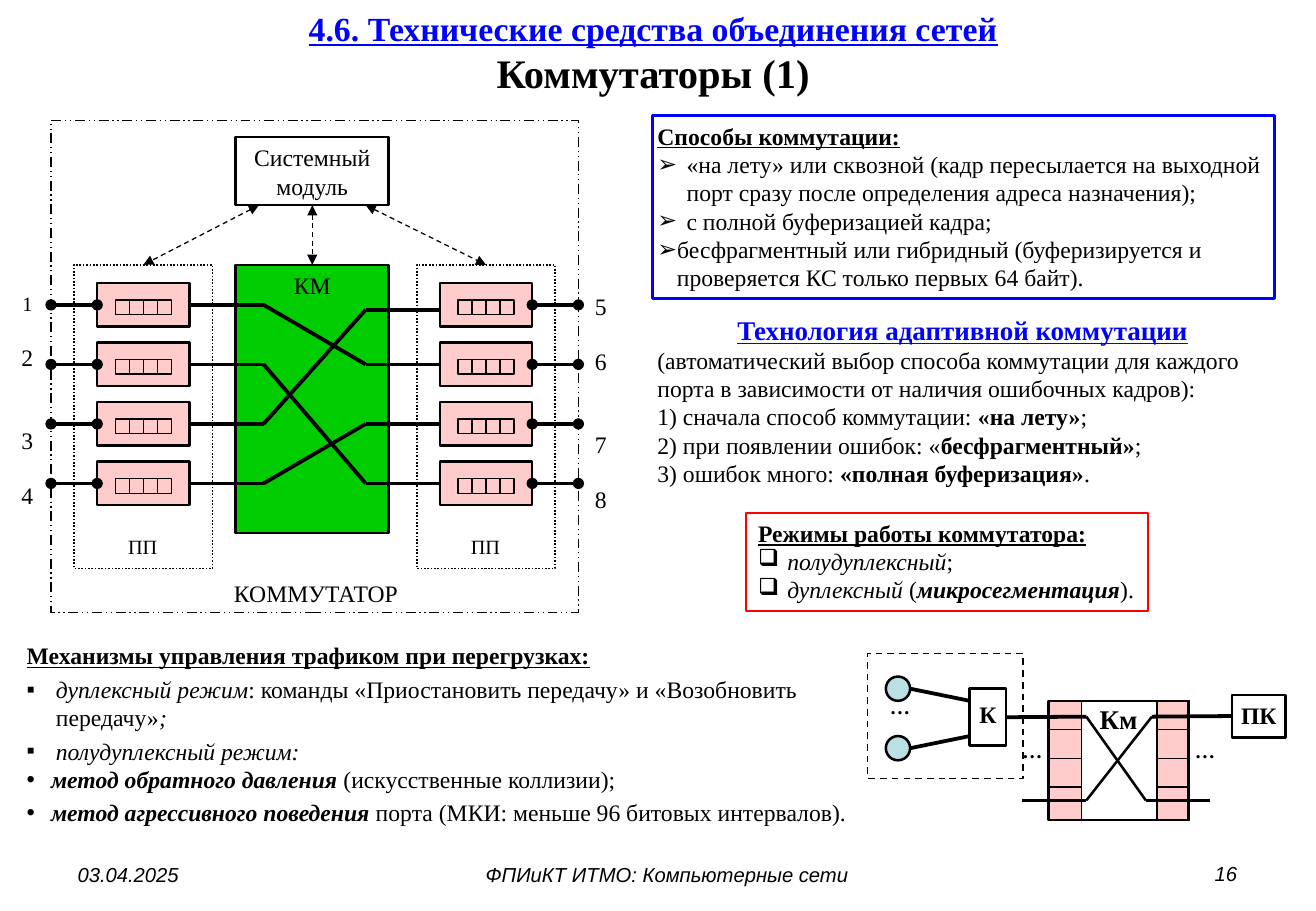
"""Build the slide about network switches with two wiring diagrams."""
from lxml.etree import SubElement
from pptx import Presentation
from pptx.dml.color import RGBColor
from pptx.enum.dml import MSO_LINE
from pptx.enum.shapes import MSO_CONNECTOR, MSO_SHAPE
from pptx.enum.text import MSO_ANCHOR, MSO_AUTO_SIZE, PP_ALIGN
from pptx.oxml.ns import qn
from pptx.util import Inches, Pt

SERIF, SANS = "Times New Roman", "Arial"
BLACK, BLUE, RED, GREEN, PINK, AQUA = "000000", "0000FF", "FF0000", "00CC00", "FFCCCC", "BBE0E3"
LEFT, CENTER, RIGHT = PP_ALIGN.LEFT, PP_ALIGN.CENTER, PP_ALIGN.RIGHT
TIGHT = (0.04, 0.05, 0.04, 0.05)

TITLE = "4.6. Технические средства объединения сетей\vКоммутаторы (1)"
METHODS = [
    ([("Способы коммутации:", "bu")],),
    ([("«на лету» или сквозной (кадр пересылается на выходной порт сразу "
       "после определения адреса назначения);", "")], "➢", 0.24),
    ([("с полной буферизацией кадра;", "")], "➢", 0.24),
    ([("бесфрагментный или гибридный (буферизируется и проверяется КС "
       "только первых 64 байт).", "")], "➢", 0.16),
]
MECHANISMS = [
    ([("Механизмы управления трафиком при перегрузках:", "bu")],),
    ([("дуплексный режим", "i"),
      (": команды «Приостановить передачу» и «Возобновить передачу»", ""),
      (";", "i")], "▪", 0.24, 3),
    ([("полудуплексный режим:", "i")], "▪", 0.24, 3),
    ([("метод обратного давления", "bi"), (" (искусственные коллизии);", "")], "•", 0.2, 0, 1),
    ([("метод агрессивного поведения", "bi"),
      (" порта (МКИ: меньше 96 битовых интервалов).", "")], "•", 0.2, 3, 1),
]
MODES = [
    ([("Режимы работы коммутатора:", "bu")],),
    ([("полудуплексный", "i"), (";", "")], "❑", 0.24),
    ([("дуплексный ", "i"), ("(", ""), ("микросегментация", "bi"), (").", "")], "❑", 0.24),
]
ADAPTIVE = [
    ([("Технология", "bu"), (" ", "bu"), ("адаптивной коммутации", "bu")],),
    ([("(автоматический выбор способа коммутации для каждого порта "
       "в зависимости от наличия ошибочных кадров):", "")],),
    ([("1) сначала способ коммутации: ", ""), ("«на лету»", "b"), (";", "")],),
    ([("2) при появлении ошибок: «", ""), ("бесфрагментный»", "b"), (";", "")],),
    ([("3) ошибок много: ", ""), ("«полная буферизация»", "b"), (".", "")],),
]
PORT_LABELS = [(0.15, "1234"), (4.87, "5678")]
LABEL_GAPS = (0, 16.1, 32.2, 16.1)
FOOTERS = [
    (0.54, 7.05, 2.53, "03.04.2025", LEFT),
    (3.35, 7.05, 4.28, "ФПИиКТ ИТМО: Компьютерные сети", CENTER),
    (7.75, 7.04, 2.53, "16", RIGHT),
]
ROWS = [2.51 + 0.49 * row for row in range(4)]
OUTPUTS = [2.55] + ROWS[1:]
ROUTES = [1, 3, 0, 2]

deck = Presentation()
deck.slide_width, deck.slide_height = Inches(10.83), Inches(7.5)
page = deck.slides.add_slide(deck.slide_layouts[3])
joints = []


def color(value):
    return RGBColor.from_string(value)


def place(shape, area):
    shape.left, shape.top, shape.width, shape.height = map(Inches, area)


def style(span, marks="", size=14, tint=BLACK, face=SERIF):
    span.font.name, span.font.size = face, Pt(size)
    span.font.color.rgb = color(tint)
    span.font.bold, span.font.italic = "b" in marks, "i" in marks
    span.font.underline = "u" in marks


def prepare(frame, insets=(0.1, 0.05, 0.1, 0.05)):
    frame.word_wrap = True
    frame.auto_size = MSO_AUTO_SIZE.NONE
    frame.vertical_anchor = MSO_ANCHOR.TOP
    frame.margin_left, frame.margin_top, frame.margin_right, frame.margin_bottom = map(Inches, insets)


def write(frame, text, marks="", size=14, align=CENTER, face=SERIF, **options):
    prepare(frame, **options)
    frame.text = text
    for para in frame.paragraphs:
        para.alignment = align
        for span in para.runs:
            style(span, marks, size, face=face)


def write_list(frame, items, **options):
    prepare(frame, **options)
    for number, item in enumerate(items):
        runs, bullet, hang, space, level = item + (None, 0, 0, 0)[len(item) - 1:]
        para = frame.paragraphs[0] if number == 0 else frame.add_paragraph()
        para.level, para.alignment, para.space_before = level, LEFT, Pt(space)
        properties = para._p.get_or_add_pPr()
        properties.set("marL", str(Inches(hang)))
        properties.set("indent", str(-Inches(hang)))
        mark = SubElement(properties, qn("a:buChar" if bullet else "a:buNone"))
        if bullet:
            mark.set("char", bullet)
        for text, marks in runs:
            span = para.add_run()
            span.text = text
            style(span, marks)


def text_box(*area):
    return page.shapes.add_textbox(*map(Inches, area)).text_frame


def add_box(area, fill=None, line=BLACK, width=1.5, dash=None, kind=MSO_SHAPE.RECTANGLE):
    box = page.shapes.add_shape(kind, *map(Inches, area))
    box.shadow.inherit = False
    if fill:
        box.fill.solid()
        box.fill.fore_color.rgb = color(fill)
    else:
        box.fill.background()
    box.line.color.rgb, box.line.width = color(line), Pt(width)
    if dash:
        box.line.dash_style = dash
    if kind == MSO_SHAPE.RECTANGLE:
        x, y, w, h = area
        sides = [(x + w / 2, y), (x, y + h / 2), (x + w / 2, y + h), (x + w, y + h / 2)]
        joints.extend((box, side, point) for side, point in enumerate(sides))
    return box


def add_line(start, end, width=2.25, dash=None, heads=None):
    line = page.shapes.add_connector(MSO_CONNECTOR.STRAIGHT, *map(Inches, start + end))
    line.line.color.rgb, line.line.width = color(BLACK), Pt(width)
    if dash:
        line.line.dash_style = dash
    if heads:
        for tag in ("a:headEnd", "a:tailEnd"):
            SubElement(line.line._get_or_add_ln(), qn(tag)).set("type", heads)
    SubElement(line._element.spPr, qn("a:effectLst"))
    for point, connect in ((start, line.begin_connect), (end, line.end_connect)):
        for box, side, (x, y) in joints:
            if abs(x - point[0]) < 0.01 and abs(y - point[1]) < 0.01:
                connect(box, side)
                break


def add_ports(left):
    for y in ROWS:
        add_box((left + 0.19, y - 0.18, 0.76, 0.36), PINK)
        add_box((left + 0.34, y - 0.04, 0.46, 0.12), width=0.75)
        for cell in range(1, 4):
            x = left + 0.34 + 0.115 * cell
            add_line((x, y - 0.04), (x, y + 0.08), 0.75)
    add_box((left, 2.18, 1.14, 2.5), width=1, dash=MSO_LINE.ROUND_DOT)
    write(text_box(left + 0.26, 4.35, 0.61, 0.29), "ПП", size=12)


def draw_switch():
    write(add_box((1.94, 1.13, 1.26, 0.56)).text_frame, "Системный модуль")
    write(add_box((1.94, 2.18, 1.26, 2.21), GREEN).text_frame, "КМ")
    for left in (0.61, 3.43):
        add_ports(left)
    for y, output, route in zip(ROWS, OUTPUTS, ROUTES):
        add_line((1.56, y), (2.17, y))
        add_line((2.17, y), (3.01, OUTPUTS[route]))
        add_line((3.01, output), (3.62, output))
        for x in (0.42, 4.38):
            add_line((x, y), (x + 0.38, y), heads="oval")
    for start, end in ((2.57, 2.57), (2.13, 1.18), (3.01, 4.0)):
        add_line((start, 1.69), (end, 2.18), 0.75, MSO_LINE.DASH, "triangle")
    add_box((0.42, 0.99, 4.34, 4.05), width=0.75, dash=MSO_LINE.DASH_DOT_DOT)
    write(text_box(1.44, 4.72, 2.32, 0.29), "КОММУТАТОР")
    for left, digits in PORT_LABELS:
        frame = text_box(left, 2.39, 0.15, 1.72)
        write(frame, "\n".join(digits), insets=(0.02, 0.01, 0.02, 0.01))
        for para, gap in zip(frame.paragraphs, LABEL_GAPS):
            para.space_before = Pt(gap)
            if para.text == "1":
                para.runs[0].font.size = Pt(12)


def draw_network():
    for left in (8.63, 9.52):
        for row in range(4):
            add_box((left, 5.77 + 0.237 * row, 0.27, 0.27), PINK, width=1)
    for area, text, size, insets in (
            ((8.63, 5.77, 1.15, 0.98), "Км", 16, (0.1, 0.01, 0.1, 0.05)),
            ((10.14, 5.72, 0.44, 0.35), "ПК", 14, (0.02, 0.05, 0.02, 0.05)),
            ((7.98, 5.67, 0.3, 0.47), "К", 14, (0.02, 0.09, 0.02, 0.13))):
        write(add_box(area).text_frame, text, "b", size, insets=insets)
    for x1, x2, y in ((8.28, 8.94, 5.9), (8.41, 8.94, 6.59), (9.48, 10.14, 5.9), (9.43, 9.96, 6.59)):
        add_line((x1, y), (x2, y))
    add_line((8.94, 5.9), (9.43, 6.59), 1.5)
    add_line((8.94, 6.59), (9.48, 5.9), 1.5)
    for y, end in ((5.67, 5.77), (6.16, 6.06)):
        add_box((7.29, y - 0.1, 0.2, 0.2), AQUA, kind=MSO_SHAPE.OVAL)
        add_line((7.49, y), (7.98, end))
    for x, y in ((8.32, 6.03), (9.74, 6.03), (7.23, 5.67)):
        write(text_box(x, y, 0.35, 0.3), "…", "bi", 12, LEFT)
    add_box((7.14, 5.38, 1.28, 1.03), width=1, dash=MSO_LINE.DASH)


title, methods, mechanisms = page.placeholders
place(title, (0.14, 0.05, 10.47, 0.76))
write(title.text_frame, TITLE, "b", 24)
title.text_frame.vertical_anchor = MSO_ANCHOR.MIDDLE
style(title.text_frame.paragraphs[0].runs[0], "bu", 20, BLUE)
draw_switch()
place(methods, (5.37, 0.95, 5.12, 1.51))
methods.line.color.rgb, methods.line.width = color(BLUE), Pt(1.5)
write_list(methods.text_frame, METHODS, insets=TIGHT)
write_list(add_box((6.14, 4.22, 3.31, 0.81), line=RED, width=1.25).text_frame, MODES)
draw_network()
place(mechanisms, (0.18, 5.23, 6.88, 1.64))
write_list(mechanisms.text_frame, MECHANISMS, insets=TIGHT)
for x, y, width, text, align in FOOTERS:
    write(text_box(x, y, width, 0.3), text, "i", 12, align, SANS)
adaptive = text_box(5.37, 2.53, 5.1, 1.55)
write_list(adaptive, ADAPTIVE, insets=TIGHT)
heading = adaptive.paragraphs[0]
heading.alignment = CENTER
for span, tint in zip(heading.runs, (BLUE, BLACK, BLUE)):
    style(span, "bu", 16, tint)
deck.save("out.pptx")
